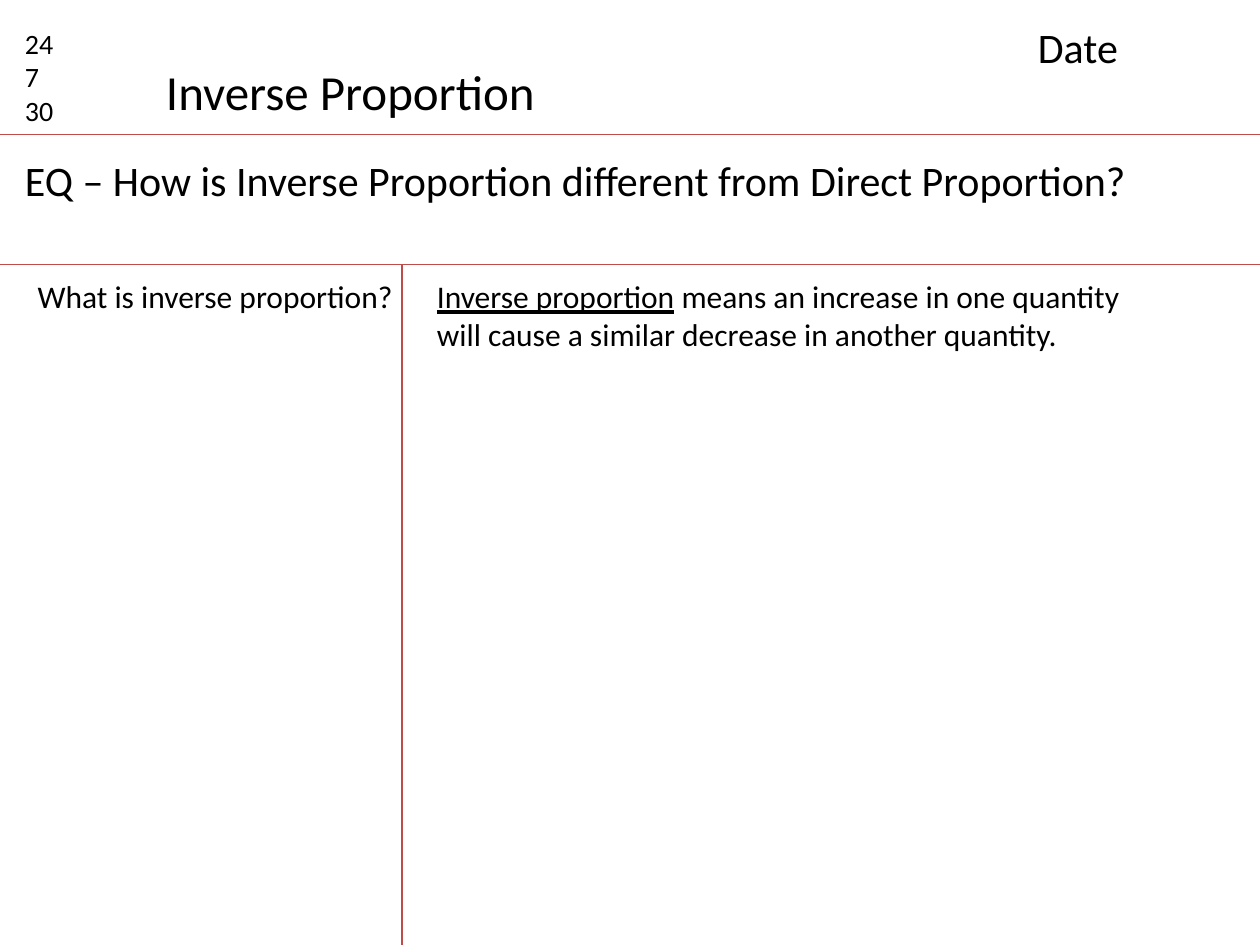
from dataclasses import dataclass

from lxml import etree
from pptx import Presentation
from pptx.dml.color import RGBColor
from pptx.enum import shapes, text
from pptx.oxml.ns import qn
from pptx.util import Pt

FONT = "Calibri"
COLORS = {"ink": "000000", "rule": "BF4C48"}
WIDE, HIGH = 720, 540
HEAD, BODY, SPLIT = 77, 151.2, 229.7


@dataclass
class Rule:
    x1: float
    y1: float
    x2: float
    y2: float


@dataclass
class Note:
    words: str
    left: float
    top: float
    width: float
    height: float
    size: float
    wrap: bool = True
    key: str = ""


RULES = [
    Rule(0, HEAD, WIDE, HEAD),
    Rule(0, BODY, WIDE, BODY),
    Rule(SPLIT, BODY, SPLIT, HIGH),
]

NOTES = [
    Note("24\n7\n30", 7.2, 11.5, 45.4, 65.5, 16),
    Note("Inverse Proportion", 87.8, 31.7, 227.5, 41, 28, wrap=False),
    Note("Date", 586, 8.6, 124.6, 36, 24),
    Note("EQ – How is Inverse Proportion different from Direct Proportion?",
         7.2, 85, 679, 36, 24),
    Note("What is inverse proportion?", 14.4, 154.8, 226, 28.8, 18, wrap=False),
    Note("Inverse proportion means an increase in one quantity\n"
         "will cause a similar decrease in another quantity.",
         242.6, 154.8, 449.3, 72.7, 18, key="Inverse proportion"),
]


def draw_rule(slide, rule: Rule) -> None:
    line = slide.shapes.add_connector(
        shapes.MSO_CONNECTOR.STRAIGHT,
        Pt(rule.x1), Pt(rule.y1), Pt(rule.x2), Pt(rule.y2))
    line.line.color.rgb = RGBColor.from_string(COLORS["rule"])
    line.line.width = Pt(0.75)
    etree.SubElement(line._element.spPr, qn("a:effectLst"))


def draw_note(slide, note: Note) -> None:
    """Add a text box, underlining the key term that opens it, if any."""
    box = slide.shapes.add_textbox(
        Pt(note.left), Pt(note.top), Pt(note.width), Pt(note.height))
    frame = box.text_frame
    frame.text = note.words
    frame.word_wrap = note.wrap
    frame.auto_size = text.MSO_AUTO_SIZE.SHAPE_TO_FIT_TEXT
    if note.key:
        first = frame.paragraphs[0]
        rest = first.text.removeprefix(note.key)
        first.text = note.key
        first.runs[0].font.underline = True
        first.add_run().text = rest
    for para in frame.paragraphs:
        for run in para.runs:
            run.font.name = FONT
            run.font.size = Pt(note.size)
            run.font.color.rgb = RGBColor.from_string(COLORS["ink"])


def main() -> None:
    deck = Presentation()
    deck.slide_width, deck.slide_height = Pt(WIDE), Pt(HIGH)
    slide = deck.slides.add_slide(deck.slide_layouts[6])
    for rule in RULES:
        draw_rule(slide, rule)
    for note in NOTES:
        draw_note(slide, note)
    deck.save("out.pptx")


if __name__ == "__main__":
    main()
